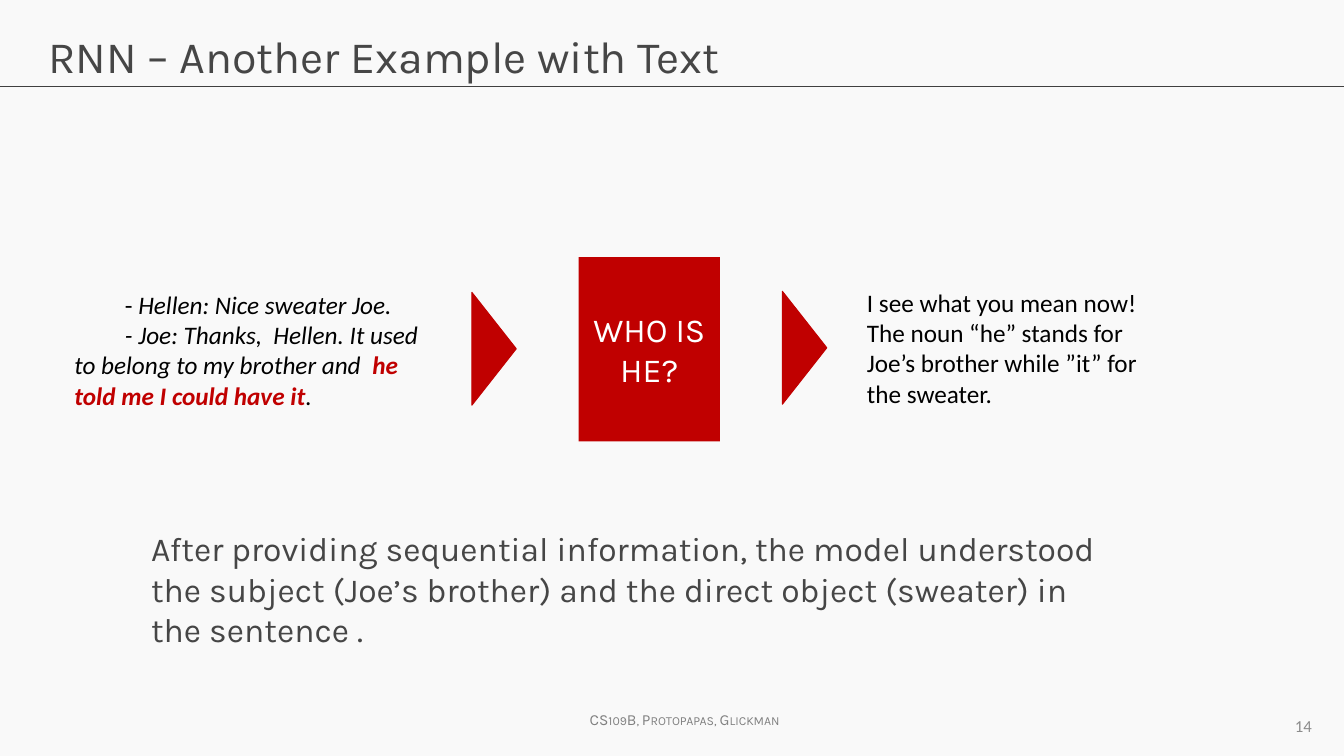
from pptx import Presentation
from pptx.dml.color import RGBColor
from pptx.enum.shapes import MSO_CONNECTOR, MSO_SHAPE
from pptx.enum.text import MSO_ANCHOR, PP_ALIGN
from pptx.oxml.ns import qn
from pptx.util import Inches, Pt

STRAIGHT = MSO_CONNECTOR.STRAIGHT
RECTANGLE = MSO_SHAPE.RECTANGLE
TRIANGLE = MSO_SHAPE.ISOSCELES_TRIANGLE
TOP, MIDDLE = MSO_ANCHOR.TOP, MSO_ANCHOR.MIDDLE
LEFT, CENTER, RIGHT = PP_ALIGN.LEFT, PP_ALIGN.CENTER, PP_ALIGN.RIGHT
RED, GRAY, BLACK = "C00000", "464646", "000000"


def rgb(color):
    return RGBColor.from_string(color)


def format_run(run, font, size, color):
    run.font.name = font
    run.font.size = Pt(size)
    run.font.color.rgb = rgb(color)


def add_text(slide, box, text, font, size, color, anchor=TOP, align=LEFT, wrap=True):
    shape = slide.shapes.add_textbox(*map(Inches, box))
    frame = shape.text_frame
    frame.word_wrap = wrap
    frame.vertical_anchor = anchor
    frame.text = text
    for paragraph in frame.paragraphs:
        paragraph.alignment = align
        for run in paragraph.runs:
            format_run(run, font, size, color)
    return frame


def add_dialogue(slide, box, lines):
    frame = add_text(slide, box, "", "Calibri", 18, BLACK)
    for index, pieces in enumerate(lines):
        paragraph = frame.add_paragraph() if index else frame.paragraphs[0]
        paragraph._p.get_or_add_pPr().set("indent", str(Inches(0.5)))
        for text, italic, emphasized in pieces:
            run = paragraph.add_run()
            run.text = text
            format_run(run, "Calibri", 18, RED if emphasized else BLACK)
            run.font.italic = italic
            run.font.bold = emphasized


def add_red_shape(slide, kind, box):
    shape = slide.shapes.add_shape(kind, *map(Inches, box))
    shape.shadow.inherit = False
    shape.fill.solid()
    shape.fill.fore_color.rgb = rgb(RED)
    shape.line.fill.background()
    return shape


def add_question(slide, box, text):
    frame = add_red_shape(slide, RECTANGLE, box).text_frame
    frame.word_wrap = True
    frame.vertical_anchor = MIDDLE
    frame.text = text
    paragraph = frame.paragraphs[0]
    paragraph.alignment = CENTER
    format_run(paragraph.runs[0], "Karla", 24, "FFFFFF")


def add_flow_triangle(slide, left, top):
    shape = add_red_shape(slide, TRIANGLE, (left, top, 1.12, 0.44))
    shape.rotation = 90
    shape.line.color.rgb = rgb(RED)
    shape.line.width = Pt(0.75)


def add_title_rule(slide, top):
    line = slide.shapes.add_connector(
        STRAIGHT, Inches(0), Inches(top), Inches(13.33), Inches(top)
    )
    line.line.color.rgb = rgb("404040")
    line.line.width = Pt(0.75)
    properties = line._element.spPr
    properties.append(properties.makeelement(qn("a:effectLst"), {}))


def main():
    presentation = Presentation()
    presentation.slide_width = Inches(13.33)
    presentation.slide_height = Inches(7.5)
    slide = presentation.slides.add_slide(presentation.slide_layouts[6])
    slide.background.fill.solid()
    slide.background.fill.fore_color.rgb = rgb("F9F9F9")

    add_title_rule(slide, 0.86)
    footer = add_text(slide, (5.75, 7, 2.19, 0.29), "CS109B, Protopapas, Glickman",
                      "Karla", 11, "808080", wrap=False)
    footer.paragraphs[0].runs[0].font._element.set("cap", "small")
    add_text(slide, (0.38, 0.24, 12.57, 0.84), "RNN – Another Example with Text",
             "Karla", 32, GRAY)
    add_text(slide, (1.4, 5.19, 9.82, 1.06),
             "After providing sequential information, the model understood the subject "
             "(Joe’s brother) and the direct object (sweater) in the sentence .",
             "Karla", 24, GRAY)
    add_text(slide, (10, 7, 3.11, 0.4), "14", "Calibri", 12, "8C8C8C", MIDDLE, RIGHT)

    add_question(slide, (5.74, 2.55, 1.4, 1.83), "WHO IS HE?")
    add_flow_triangle(slide, 4.34, 3.24)
    add_flow_triangle(slide, 7.42, 3.23)
    add_text(slide, (8.5, 2.8, 3.13, 1.31),
             "I see what you mean now! The noun “he” stands for Joe’s brother "
             "while ”it” for the sweater.", "Calibri", 18, BLACK)
    add_dialogue(slide, (0.64, 2.82, 3.75, 1.31), [
        [("- ", False, False), ("Hellen: Nice sweater Joe.", True, False)],
        [("- Joe: Thanks,  Hellen. It used to belong to my brother and  ", True, False),
         ("he told me I could have it", True, True), (".", True, False)],
    ])
    presentation.save("out.pptx")


if __name__ == "__main__":
    main()
